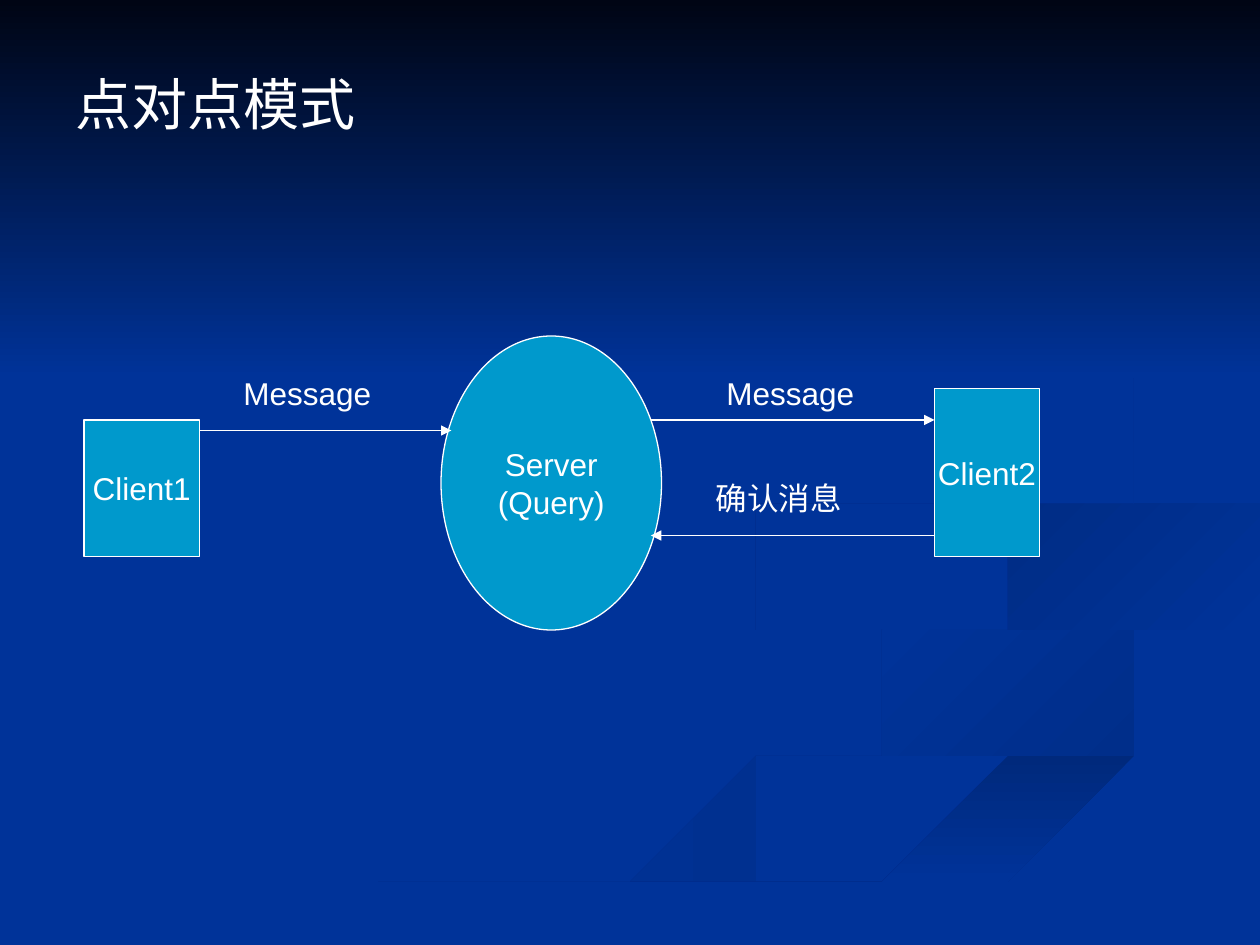
from lxml import etree
from pptx import Presentation
from pptx.dml.color import RGBColor
from pptx.enum.shapes import MSO_CONNECTOR, MSO_SHAPE
from pptx.enum.text import MSO_ANCHOR, PP_ALIGN
from pptx.oxml.ns import qn
from pptx.util import Inches, Pt

RECT, OVAL, STRAIGHT = MSO_SHAPE.RECTANGLE, MSO_SHAPE.OVAL, MSO_CONNECTOR.STRAIGHT
LEFT, CENTER = PP_ALIGN.LEFT, PP_ALIGN.CENTER
TOP, MIDDLE = MSO_ANCHOR.TOP, MSO_ANCHOR.MIDDLE
WIDTH, HEIGHT = 10, 7.5
COLS, ROWS = 120, 90  # grid of the slide; the diagram is placed in its cells
BLUE, CYAN, WHITE = "003399", "0099CC", "FFFFFF"
STEPS = 6  # straight pieces between two points of a ribbon's edge

# First colour, last colour, clockwise angle, the two edges in inches
RIBBONS = [
    ("002E8A", BLUE, 180,
     [(5.75, 4.59), (5.94, 4.85), (6.82, 5.19), (7.81, 5.53), (8, 5.81), (7.4, 6.18),
      (5.32, 6.74), (3.61, 7.49)],
     [(3, 7.49), (4.58, 6.74), (6.84, 6.13), (7.86, 5.66), (7.41, 5.39), (6.02, 4.91),
      (5.7, 4.7), (5.75, 4.59)]),
    ("002E8A", BLUE, 225,
     [(7.24, 4.64), (7.58, 4.98), (8.88, 5.35), (9.43, 5.7), (8.94, 6.05)],
     [(8.94, 6.05), (9.18, 5.81), (8.8, 5.49), (7.66, 5.12), (7.24, 4.64)]),
    ("00297C", BLUE, 90,
     [(5.03, 7.49), (6.3, 6.93), (7.97, 6.38), (9.98, 5.81)],
     [(9.98, 6.09), (8.21, 6.51), (6.7, 7.02), (5.71, 7.49)]),
    (BLUE, "002C85", 225,
     [(8.26, 4.96), (7.81, 4.6), (8.49, 4.27), (9.98, 4.02)],
     [(9.98, 4.2), (8.78, 4.39), (8.05, 4.72), (8.26, 4.96)]),
    (BLUE, "002B81", 225,
     [(7.62, 2.33), (8.64, 2.91), (8.92, 3.54), (8.07, 4.07), (6.35, 4.4), (5.93, 4.7),
      (6.22, 5)],
     [(6.22, 5), (5.77, 4.62), (6.49, 4.2), (8.18, 3.86), (8.89, 3.35), (8.46, 2.79),
      (7.62, 2.33)]),
    ("000514", BLUE, 90, [(0, 0), (WIDTH, 0)], [(WIDTH, 3.08), (0, 3.08)]),
]
# Places below are column, row, columns, rows
TITLE = ("点对点模式", (6, 6, 110, 74.4))
NODES = [
    (RECT, "Client1", (8, 40, 11, 13)),
    (OVAL, "Server\n(Query)", (42, 32, 21, 28)),
    (RECT, "Client2", (89, 37, 10, 16)),
]
ARROWS = [((19, 41), (43, 41)), ((62, 40), (89, 40)), ((89, 51), (62, 51))]
LABELS = [("Message", (22, 35)), ("Message", (68, 35)), ("确认消息", (67, 45))]
LABEL_SIZE = (16, 4.8)


def rgb(value):
    return RGBColor.from_string(value)


def cells(place):
    """Turn alternating column and row counts into slide lengths."""
    units = (WIDTH / COLS, HEIGHT / ROWS)
    return [Inches(n * units[i % 2]) for i, n in enumerate(place)]


def smooth_edge(points):
    """Run a Catmull-Rom curve through the points."""
    ends = [points[0], *points, points[-1]]
    curve = [points[0]]
    for quad in zip(ends, ends[1:], ends[2:], ends[3:]):
        for step in range(1, STEPS + 1):
            t = step / STEPS
            curve.append(tuple(
                b + t * (c - a + t * (2 * a - 5 * b + 4 * c - d
                                      + t * (3 * b - a - 3 * c + d))) / 2
                for a, b, c, d in zip(*quad)))
    return curve


def set_line(sp):
    sp.line.color.rgb = rgb(WHITE)
    sp.line.width = Pt(0.75)


def set_text(sp, text, size=18, font="Arial", align=LEFT, anchor=TOP, wrap=True):
    tf = sp.text_frame
    tf.text = text
    tf.word_wrap, tf.vertical_anchor = wrap, anchor
    for p in tf.paragraphs:
        p.alignment = align
        for name, value in {"size": Pt(size), "name": font}.items():
            setattr(p.font, name, value)
        p.font.color.rgb = rgb(WHITE)


def add_ribbon(shapes, first, last, angle, *edges):
    points = [point for edge in edges for point in smooth_edge(edge)]
    builder = shapes.build_freeform(*points[0], scale=Inches(1))
    builder.add_line_segments(points[1:], close=True)
    sp = builder.convert_to_shape()
    sp.shadow.inherit = False
    sp.line.fill.background()
    sp.fill.gradient()
    sp.fill.gradient_angle = 360 - angle
    for i, (stop, colour) in enumerate(zip(sp.fill.gradient_stops, (first, last))):
        stop.position = i
        stop.color.rgb = rgb(colour)


def add_arrow(shapes, start, end):
    sp = shapes.add_connector(STRAIGHT, *cells(start), *cells(end))
    set_line(sp)
    etree.SubElement(sp.line._get_or_add_ln(), qn("a:tailEnd"), type="triangle")
    etree.SubElement(sp._element.spPr, qn("a:effectLst"))


def main():
    prs = Presentation()
    prs.slide_width, prs.slide_height = Inches(WIDTH), Inches(HEIGHT)
    s = prs.slides.add_slide(prs.slide_layouts[6])
    s.background.fill.solid()
    s.background.fill.fore_color.rgb = rgb(BLUE)

    for ribbon in RIBBONS:
        add_ribbon(s.shapes, *ribbon)
    text, place = TITLE
    set_text(s.shapes.add_textbox(*cells(place)), text, 32, "Times New Roman")
    for kind, text, place in NODES:
        sp = s.shapes.add_shape(kind, *cells(place))
        sp.shadow.inherit = False
        sp.fill.solid()
        sp.fill.fore_color.rgb = rgb(CYAN)
        set_line(sp)
        set_text(sp, text, align=CENTER, anchor=MIDDLE, wrap=False)
    for start, end in ARROWS:
        add_arrow(s.shapes, start, end)
    for text, corner in LABELS:
        set_text(s.shapes.add_textbox(*cells(corner + LABEL_SIZE)), text)
    prs.save("out.pptx")


if __name__ == "__main__":
    main()
